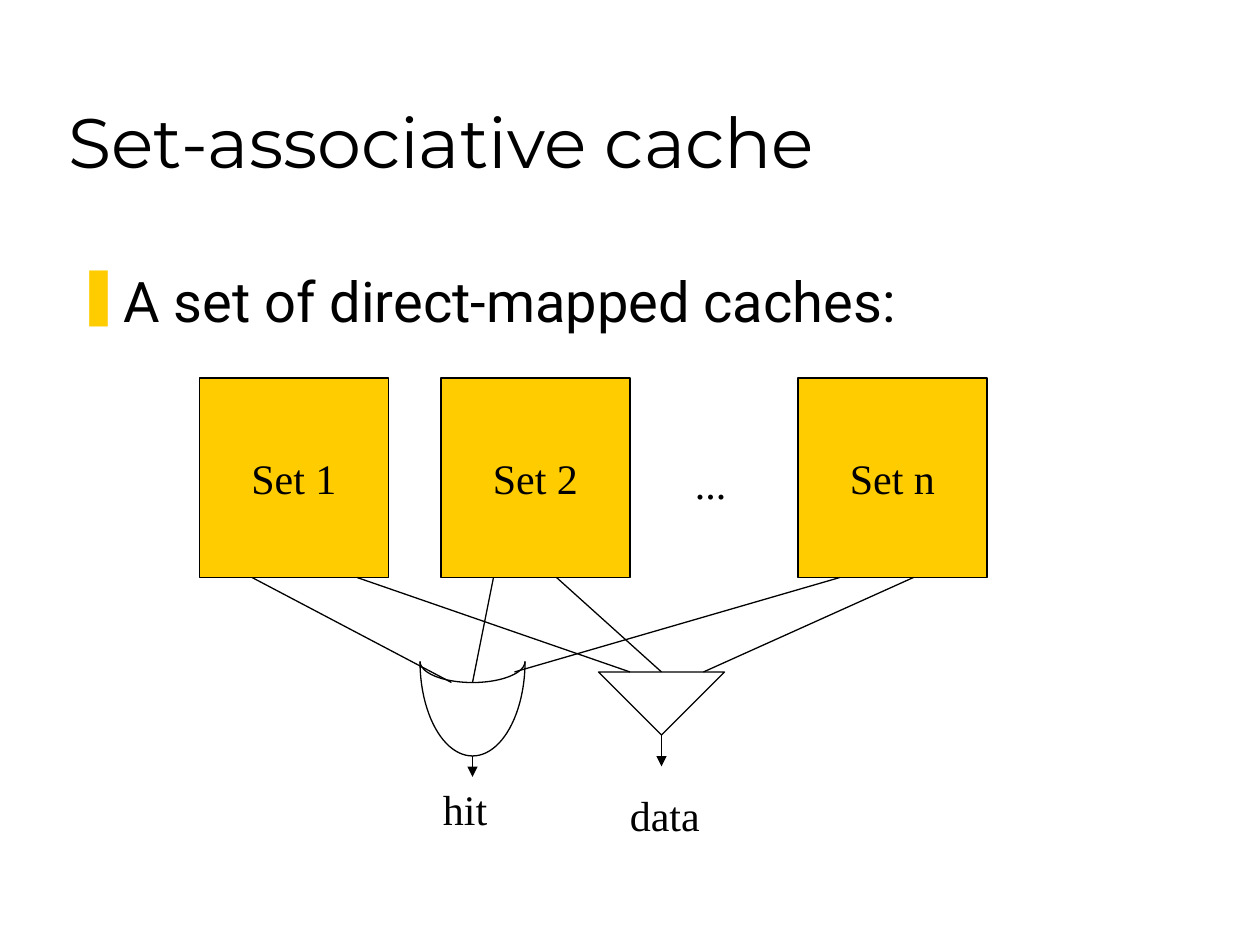
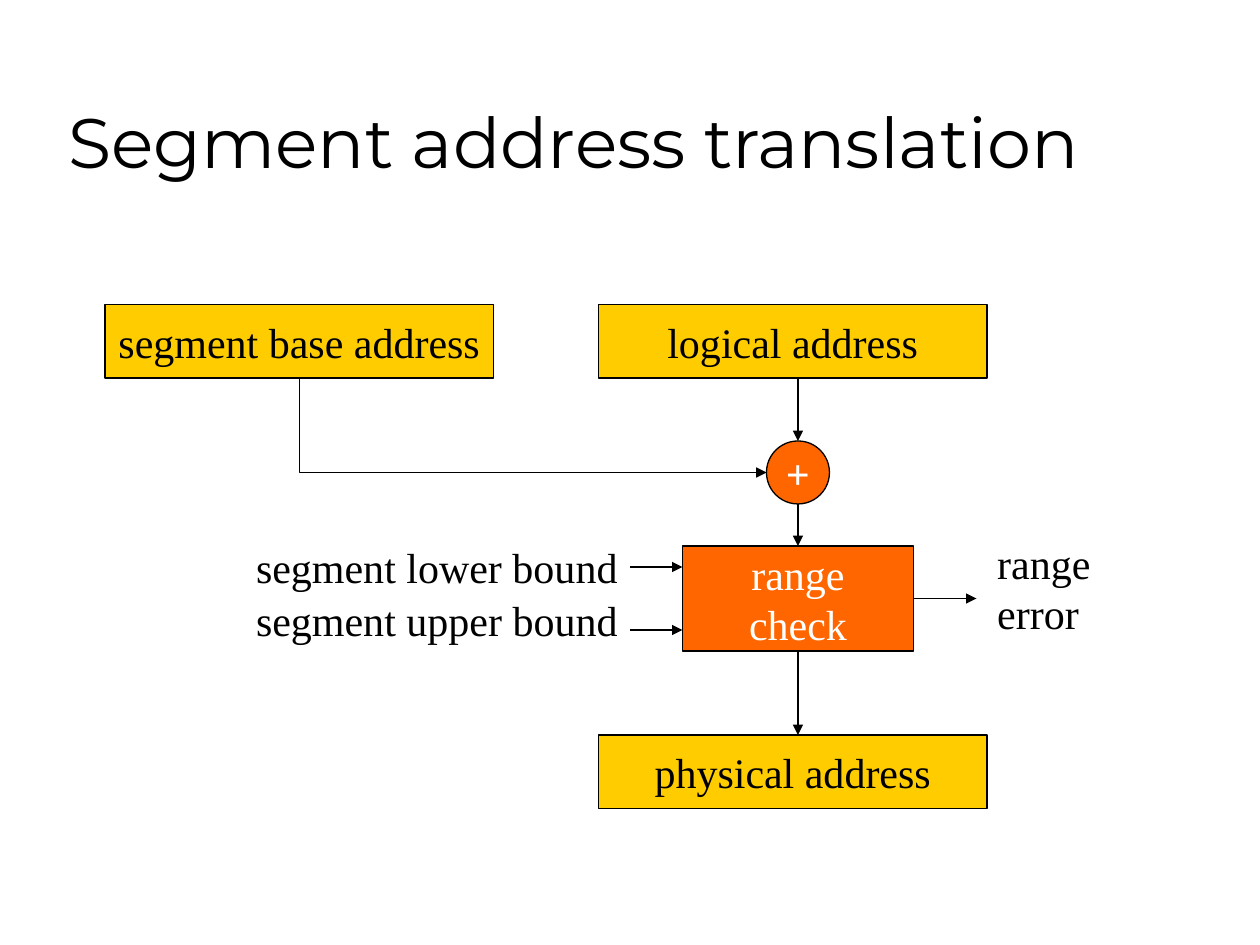
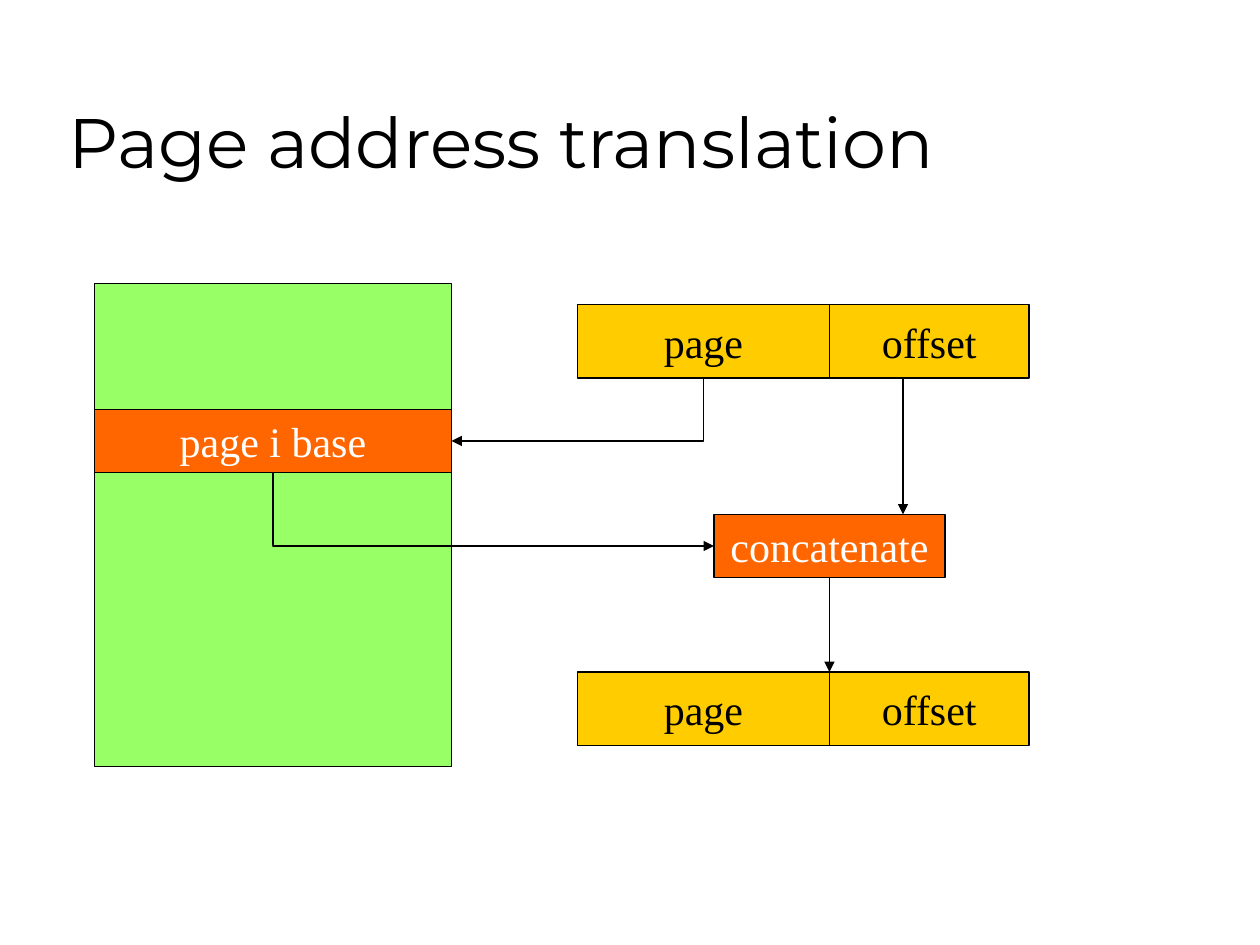
from dataclasses import dataclass
from lxml.etree import SubElement as sub
from pptx import Presentation
from pptx.dml.color import RGBColor as RGB
from pptx.enum.shapes import MSO_CONNECTOR as LINK, MSO_SHAPE as FORM
from pptx.enum.text import MSO_ANCHOR as ANCHOR, MSO_AUTO_SIZE as FIT, PP_ALIGN as ALIGN
from pptx.oxml.ns import qn
from pptx.util import Inches, Pt


@dataclass(frozen=True)
class Theme:
    ink: RGB = RGB(0, 0, 0)
    paper: RGB = RGB(255, 255, 255)
    gold: RGB = RGB(0xFF, 0xCC, 0)
    fire: RGB = RGB(0xFF, 0x66, 0)
    lime: RGB = RGB(0x99, 0xFF, 0x66)
    head: str = "Montserrat"
    body: str = "Roboto"
    label: str = "Times New Roman"
    big: int = 40
    mid: int = 32
    small: int = 24
    rule: float = 0.75


THEME = Theme()
COLS, ROWS = 120, 90
CELL = Inches(10) // COLS


def grid(*cells):
    return [round(cell * CELL) for cell in cells]


def style(frame, text, font, size, color, bold=False, align=ALIGN.LEFT):
    frame.text = text
    for para in frame.paragraphs:
        para.alignment = align
        for run in para.runs:
            run.font.name, run.font.size = font, Pt(size)
            run.font.bold, run.font.color.rgb = bold, color


def title(slide, text):
    frame = slide.shapes.add_textbox(*grid(5.33, 3, 102, 15)).text_frame
    frame.word_wrap, frame.vertical_anchor = True, ANCHOR.BOTTOM
    style(frame, text, THEME.head, THEME.big, THEME.ink)


def bullet(slide, text):
    frame = slide.shapes.add_textbox(*grid(6, 24.75, 107.25, 8.25)).text_frame
    frame.word_wrap = True
    style(frame, text, THEME.body, THEME.mid, THEME.ink)
    props = frame.paragraphs[0]._p.get_or_add_pPr()
    indent = Inches(0.38)
    props.set("marL", str(indent))
    props.set("indent", str(-indent))
    color = sub(props, qn("a:buClr"))
    sub(color, qn("a:srgbClr"), val=str(THEME.gold))
    sub(props, qn("a:buChar"), char="❚")


def label(slide, text, x, y, wide, high=6):
    frame = slide.shapes.add_textbox(*grid(x, y, wide, high)).text_frame
    frame.word_wrap, frame.auto_size = False, FIT.SHAPE_TO_FIT_TEXT
    style(frame, text, THEME.label, THEME.small, THEME.ink)


def shape(slide, form, area, fill=None):
    item = slide.shapes.add_shape(form, *grid(*area))
    item.shadow.inherit = False
    if fill is None:
        item.fill.background()
    else:
        item.fill.solid()
        item.fill.fore_color.rgb = fill
    item.line.color.rgb, item.line.width = THEME.ink, Pt(THEME.rule)
    return item


def box(slide, text, area, fill=THEME.gold, form=FORM.RECTANGLE, bold=False):
    frame = shape(slide, form, area, fill).text_frame
    frame.word_wrap, frame.vertical_anchor = False, ANCHOR.MIDDLE
    color = THEME.paper if fill == THEME.fire else THEME.ink
    style(frame, text, THEME.label, THEME.small, color, bold, ALIGN.CENTER)


def bowl(slide, x, y, wide, depth):
    arc = shape(slide, FORM.ARC, (x - wide / 2, y - depth, wide, 2 * depth))
    arc.adjustments[0], arc.adjustments[1] = 0, 108


def line(slide, ends, tip=False, kind=LINK.STRAIGHT):
    link = slide.shapes.add_connector(kind, *grid(*ends))
    link.line.color.rgb, link.line.width = THEME.ink, Pt(THEME.rule)
    if tip:
        sub(link.line._get_or_add_ln(), qn("a:tailEnd"), type="triangle")
    sub(link._element.spPr, qn("a:effectLst"))
    return link


def arrow(slide, *ends):
    line(slide, ends, tip=True)


def bend(slide, x, y, to_x, to_y):
    wide, high = abs(to_x - x), to_y - y
    left = (x + to_x - high) / 2
    top = (y + to_y - wide) / 2
    link = line(slide, (left, top, left + high, top + wide), True, LINK.ELBOW)
    props = link._element.spPr
    props.find(qn("a:prstGeom")).set("prst", "bentConnector2")
    turn = 270 if to_x > x else 90
    props.xfrm.set("rot", str(turn * 60000))
    if to_x > x:
        props.xfrm.set("flipH", "1")


def cache(slide):
    title(slide, "Set-associative cache")
    bullet(slide, "A set of direct-mapped caches:")
    for name, x in (("1", 19), ("2", 42), ("n", 76)):
        box(slide, f"Set {name}", (x, 36, 18, 19))
    label(slide, "...", 65, 43, 5.4)
    shape(slide, FORM.ISOSCELES_TRIANGLE, (57, 64, 12, 6), THEME.paper).rotation = 180
    for depth in (9, 2):
        bowl(slide, 45, 63, 10, depth)
    for x, to_x, to_y in ((24, 43, 65), (47, 45, 65), (80, 49, 64),
                          (34, 60, 64), (53, 63, 64), (87, 67, 64)):
        line(slide, (x, 55, to_x, to_y))
    arrow(slide, 45, 72, 45, 74)
    arrow(slide, 63, 70, 63, 73)
    label(slide, "hit", 41, 74, 6.6)
    label(slide, "data", 58.8, 74.6, 9.2)


def segment(slide):
    title(slide, "Segment address translation")
    for text, x, y in (("segment base address", 10, 29),
                       ("logical address", 57, 29),
                       ("physical address", 57, 70)):
        box(slide, text, (x, y, 37, 7))
    box(slide, "range\ncheck", (65, 52, 22, 10), THEME.fire)
    box(slide, "+", (73, 42, 6, 6), THEME.fire, FORM.OVAL, True)
    for top, end in ((36, 42), (48, 52), (62, 70)):
        arrow(slide, 76, top, 76, end)
    for y in (54, 60):
        arrow(slide, 60, y, 65, y)
    bend(slide, 28.5, 36, 73, 45)
    arrow(slide, 87, 57, 93, 57)
    label(slide, "range\nerror", 93.8, 50.6, 11.3, 10.8)
    for text, y in (("lower", 51), ("upper", 56)):
        label(slide, f"segment {text} bound", 23.2, y, 36.8)


def page(slide):
    title(slide, "Page address translation")
    for y in (29, 64):
        box(slide, "page", (55, y, 24, 7))
        box(slide, "offset", (79, y, 19, 7))
    shape(slide, FORM.RECTANGLE, (9, 27, 34, 46), THEME.lime)
    box(slide, "page i base", (9, 39, 34, 6), THEME.fire)
    box(slide, "concatenate", (68, 49, 22, 6), THEME.fire)
    arrow(slide, 79, 55, 79, 64)
    arrow(slide, 86, 36, 86, 49)
    bend(slide, 67, 36, 43, 42)
    bend(slide, 26, 45, 68, 52)


def main():
    deck = Presentation()
    deck.slide_width, deck.slide_height = grid(COLS, ROWS)
    for draw in (cache, segment, page):
        draw(deck.slides.add_slide(deck.slide_layouts[6]))
    deck.save("out.pptx")


if __name__ == "__main__":
    main()
